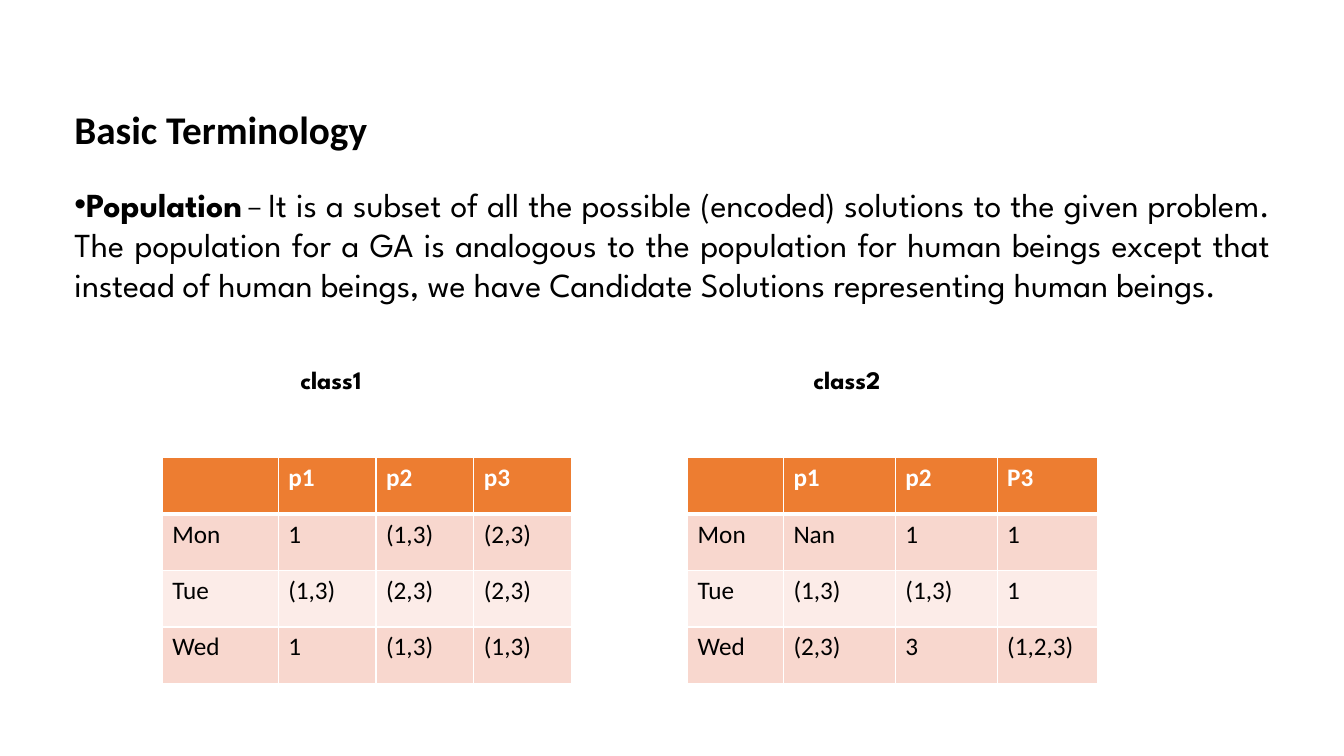
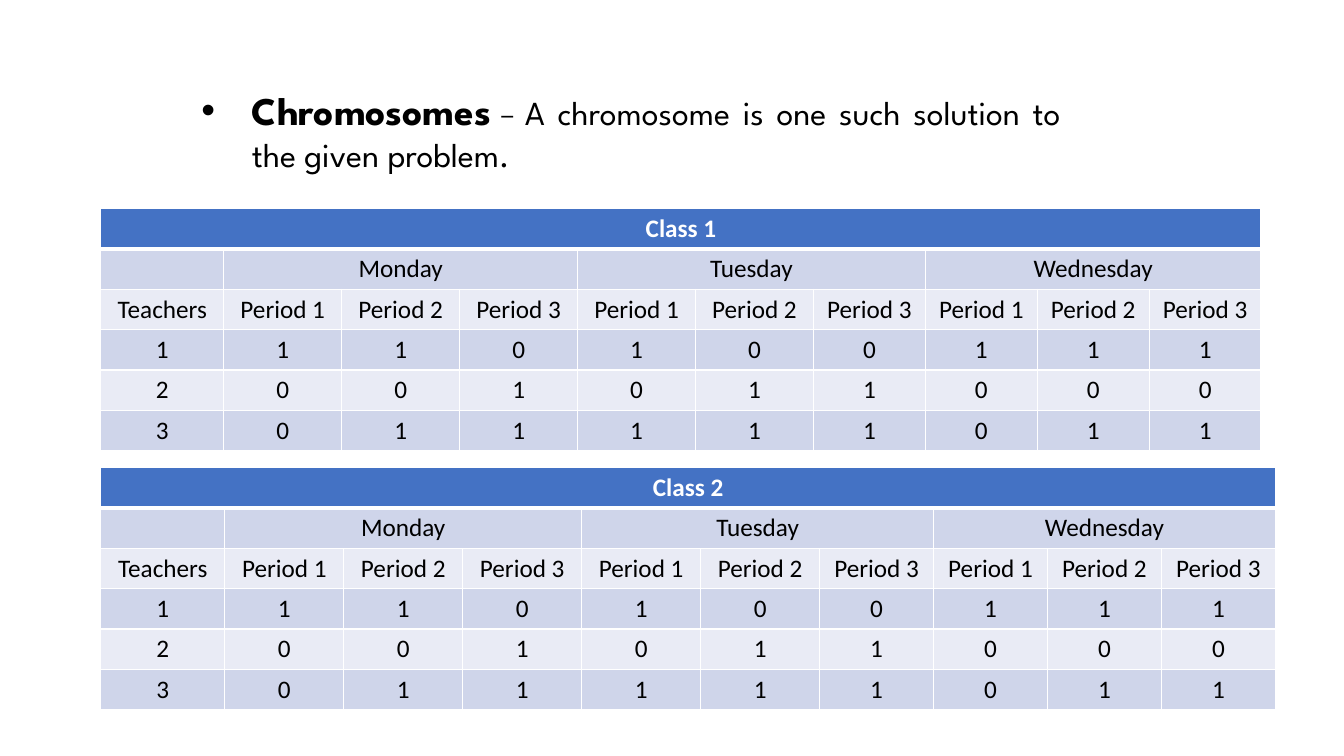
import pptx
import pptx.util
import pptx.dml.color
import pptx.enum.text
import pptx.oxml
import pptx.oxml.ns

Inches, Pt = pptx.util.Inches, pptx.util.Pt
ALIGN = pptx.enum.text.PP_ALIGN
ANCHOR = pptx.enum.text.MSO_ANCHOR

COLORS = {"text": "000000", "white": "FFFFFF"}
ORANGE = {"head": "ED7D31", "bands": ("F8D7CE", "FCECE8")}
BLUE = {"head": "4472C4", "bands": ("CFD5EA", "E9EBF5")}
BODY_FONT, ACCENT_FONT = "Calibri", "League Spartan"

# Runs: text, size, bold, font
TITLE = [("Basic Terminology", 28, True, BODY_FONT)]
POPULATION = [
    ("Population", 24, True, ACCENT_FONT),
    ("\u00a0\u2212 ", 18, False, ACCENT_FONT),
    ("It is a subset of all the possible (encoded) solutions to the given "
     "problem. The population for a GA is analogous to the population for "
     "human beings except that instead of human beings, we have Candidate "
     "Solutions representing human beings.", 24, False, ACCENT_FONT),
]
CLASS_LABELS = [("\tclass1\tclass2", 18, True, ACCENT_FONT)]
LABEL_TABS = (2.24, 7.33)
CHROMOSOMES = [
    ("Chromosomes\u00a0", 28, True, ACCENT_FONT),
    ("\u2212 ", 18, False, ACCENT_FONT),
    ("A chromosome is one such solution to the given problem.",
     24, False, ACCENT_FONT),
]

# Timetables: left edge, column widths, rows
TIMETABLES = [
    (1.61, [1.15, 0.97, 0.97, 0.97],
     [["", "p1", "p2", "p3"],
      ["Mon", "1", "(1,3)", "(2,3)"],
      ["Tue", "(1,3)", "(2,3)", "(2,3)"],
      ["Wed", "1", "(1,3)", "(1,3)"]]),
    (6.82, [0.95, 1.11, 1.01, 1.0],
     [["", "p1", "p2", "P3"],
      ["Mon", "Nan", "1", "1"],
      ["Tue", "(1,3)", "(1,3)", "1"],
      ["Wed", "(2,3)", "3", "(1,2,3)"]]),
]

DAYS = ["Monday", "Tuesday", "Wednesday"]
PERIODS = ["Period 1", "Period 2", "Period 3"]
GENES = ["110100111", "001011000", "011111011"]
# Chromosome tables: name, top edge, column widths
CHROMOSOME_TABLES = [
    ("Class 1", 2.07, [1.22] + [1.17] * 5 + [1.11] * 4),
    ("Class 2", 4.64, [1.23] + [1.18] * 5 + [1.13] * 4),
]


def rgb(value):
    """Turn a hex string into a colour."""
    return pptx.dml.color.RGBColor.from_string(value)


def element(tag, **attrs):
    """Make a drawing element with attributes."""
    el = pptx.oxml.parse_xml(f"<a:{tag} {pptx.oxml.ns.nsdecls('a')}/>")
    for name, value in attrs.items():
        el.set(name, str(value))
    return el


def add_runs(p, runs, color=COLORS["text"]):
    """Write the runs into a paragraph."""
    for text, size, bold, font in runs:
        r = p.add_run()
        r.text = text
        r.font.size, r.font.bold, r.font.name = Pt(size), bold, font
        r.font.color.rgb = rgb(color)


def add_bullet(p, indent=0):
    """Give a paragraph a round bullet and a hanging indent."""
    pPr = p._p.get_or_add_pPr()
    pPr.set("marL", str(Inches(indent)))
    pPr.set("indent", str(-Inches(indent)))
    pPr.append(element("buFont", typeface="Arial"))
    pPr.append(element("buChar", char="\u2022"))


def add_tabs(p, stops):
    """Set left tab stops, in inches."""
    tabs = element("tabLst")
    for stop in stops:
        tabs.append(element("tab", pos=Inches(stop), algn="l"))
    p._p.get_or_add_pPr().append(tabs)


def add_textbox(s, left, top, width, height):
    """Add a wrapping text box and return its text frame."""
    sp = s.shapes.add_textbox(Inches(left), Inches(top),
                              Inches(width), Inches(height))
    tf = sp.text_frame
    tf.word_wrap = True
    return tf


def set_borders(cell, row):
    """Draw white cell borders, heavier below the header row."""
    widths = {"lnL": 1, "lnR": 1, "lnT": 1, "lnB": 1}
    if row == 0:
        widths["lnB"] = 3
    elif row == 1:
        del widths["lnT"]
    tcPr = cell._tc.get_or_add_tcPr()
    for i, (tag, width) in enumerate(widths.items()):
        ln, fill = element(tag, w=Pt(width)), element("solidFill")
        fill.append(element("srgbClr", val=COLORS["white"]))
        ln.append(fill)
        tcPr.insert(i, ln)


def add_table(s, left, top, widths, row_height, rows, theme, centered=False):
    """Add a banded table and return it."""
    frame = s.shapes.add_table(
        len(rows), len(widths), Inches(left), Inches(top),
        Inches(sum(widths)), Inches(row_height * len(rows)))
    table = frame.table
    for column, width in zip(table.columns, widths):
        column.width = Inches(width)
    for i, row in enumerate(rows):
        table.rows[i].height = Inches(row_height)
        head = i == 0
        for j, text in enumerate(row):
            cell = table.cell(i, j)
            cell.fill.solid()
            cell.fill.fore_color.rgb = rgb(
                theme["head"] if head else theme["bands"][(i - 1) % 2])
            set_borders(cell, i)
            p = cell.text_frame.paragraphs[0]
            if centered:
                p.alignment = ALIGN.CENTER
                cell.vertical_anchor = ANCHOR.MIDDLE
                cell.margin_top = cell.margin_bottom = Inches(0.04)
                cell.margin_left = cell.margin_right = Inches(0.05)
            if text:
                add_runs(p, [(text, 18, head, BODY_FONT)],
                         COLORS["white" if head else "text"])
    return table


def build_population(s):
    """Define a population and show two timetables."""
    tf = add_textbox(s, 0.64, 1, 12.06, 3.7)
    add_runs(tf.paragraphs[0], TITLE)
    p = tf.add_paragraph()
    p.alignment, p.space_before = ALIGN.JUSTIFY, Pt(22)
    add_bullet(p)
    add_runs(p, POPULATION)
    p = tf.add_paragraph()
    p.space_before = Pt(43)
    add_tabs(p, LABEL_TABS)
    add_runs(p, CLASS_LABELS)
    for left, widths, rows in TIMETABLES:
        add_table(s, left, 4.54, widths, 0.56, rows, ORANGE)


def build_chromosomes(s):
    """Define a chromosome and show one table per class."""
    p = add_textbox(s, 1.9, 0.81, 8.72, 0.98).paragraphs[0]
    p.alignment = ALIGN.JUSTIFY
    add_bullet(p, 0.5)
    add_runs(p, CHROMOSOMES)
    day_row = [""] + [text for day in DAYS for text in (day, "", "")]
    body = [day_row, ["Teachers"] + PERIODS * len(DAYS)]
    body += [[str(n)] + list(genes) for n, genes in enumerate(GENES, 1)]
    for name, top, widths in CHROMOSOME_TABLES:
        rows = [[name] + [""] * (len(widths) - 1)] + body
        table = add_table(s, 1, top, widths, 0.4, rows, BLUE, centered=True)
        table.cell(0, 0).merge(table.cell(0, len(widths) - 1))
        for start in range(1, len(widths), len(PERIODS)):
            table.cell(1, start).merge(table.cell(1, start + 2))


prs = pptx.Presentation()
prs.slide_width, prs.slide_height = Inches(13.33), Inches(7.5)
for build in (build_population, build_chromosomes):
    build(prs.slides.add_slide(prs.slide_layouts[6]))
prs.save("out.pptx")
